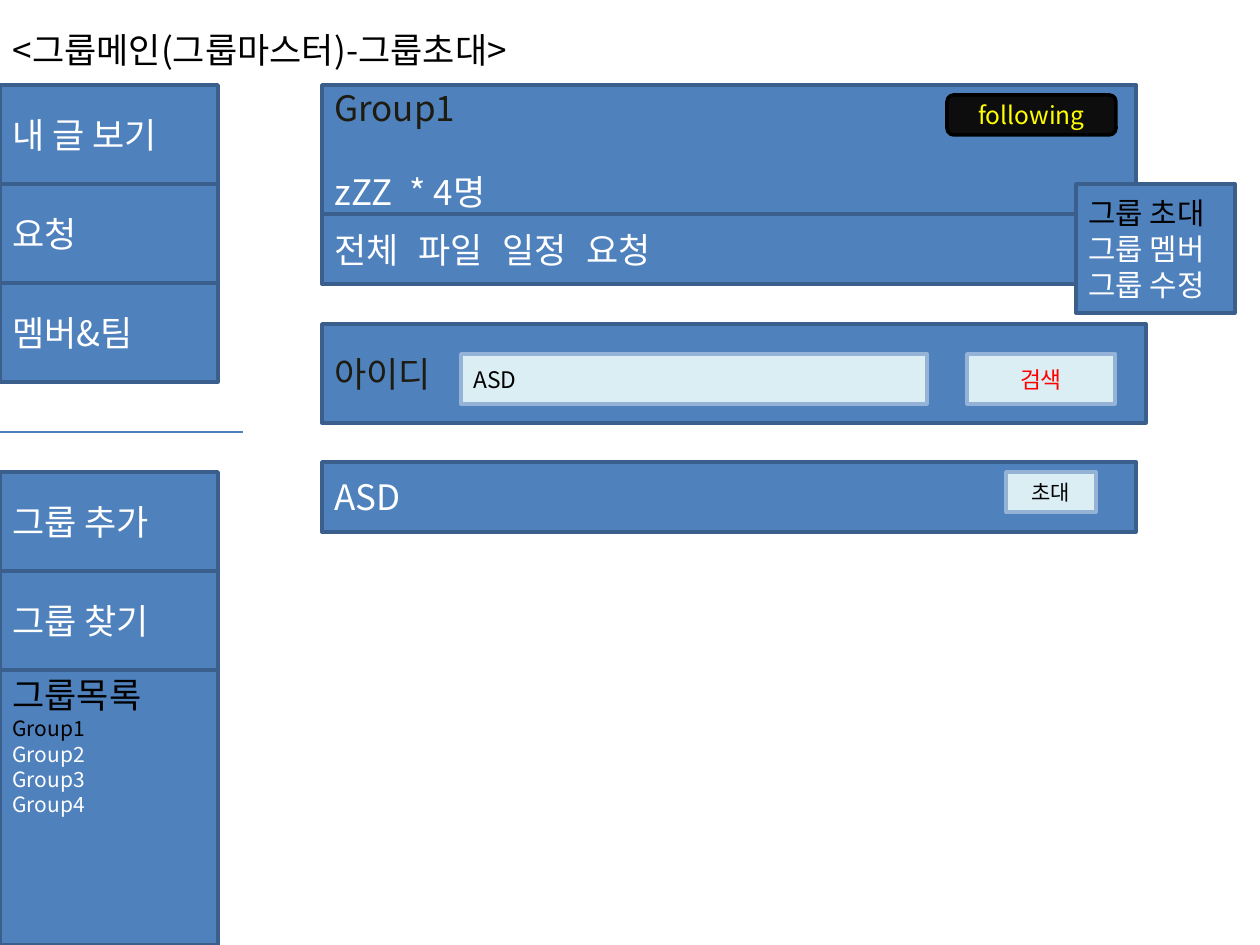
from lxml.etree import SubElement
from pptx import Presentation
from pptx.dml.color import RGBColor
from pptx.enum.shapes import MSO_CONNECTOR, MSO_SHAPE
from pptx.enum.text import MSO_ANCHOR, PP_ALIGN
from pptx.oxml.ns import qn
from pptx.util import Pt

PX = 914400 // 126
FONT = "Noto Sans CJK KR"
BLUE, EDGE = "4F81BD", "3A5F8C"
PALE, RIM = "DBEEF4", "95B3D7"
WHITE, BLACK, DARK = "FFFFFF", "000000", "1E1C11"
ROW = 99


def px(*sizes):
    return [size * PX for size in sizes]


def color(code):
    return RGBColor.from_string(code)


def style(para, size, ink, align=PP_ALIGN.LEFT):
    para.alignment = align
    for run in para.runs:
        run.font.size = Pt(size)
        run.font.name = FONT
        run.font.color.rgb = color(ink)
        SubElement(run.font._element, qn("a:ea"), typeface=FONT)


def set_tabs(para, stops):
    tabs = SubElement(para._p.get_or_add_pPr(), qn("a:tabLst"))
    for stop in stops:
        SubElement(tabs, qn("a:tab"), pos=str(stop * PX), algn="l")


def add_box(slide, area, lines, fill=BLUE, edge=EDGE,
            kind=MSO_SHAPE.RECTANGLE, align=PP_ALIGN.LEFT):
    """Draw a filled box; each line is (text, size, ink)."""
    shape = slide.shapes.add_shape(kind, *px(*area))
    shape.shadow.inherit = False
    shape.fill.solid()
    shape.fill.fore_color.rgb = color(fill)
    shape.line.color.rgb = color(edge)
    shape.line.width = Pt(2)
    frame = shape.text_frame
    frame.word_wrap = True
    frame.vertical_anchor = MSO_ANCHOR.MIDDLE
    frame.text = "\n".join(text for text, _, _ in lines)
    for para, (_, size, ink) in zip(frame.paragraphs, lines):
        style(para, size, ink, align)
    return frame


def add_title(slide, area, text):
    title = slide.shapes.title
    title.left, title.top, title.width, title.height = px(*area)
    frame = title.text_frame
    frame.text = text
    frame.vertical_anchor = MSO_ANCHOR.MIDDLE
    style(frame.paragraphs[0], 20, BLACK)


def add_stack(slide, left, top, wide, labels):
    """Stack equal menu rows and return the bottom edge."""
    for i, label in enumerate(labels):
        add_box(slide, (left, top + i * ROW, wide, ROW), [(label, 20, WHITE)])
    return top + len(labels) * ROW


def add_side(slide, left, top, wide, high):
    add_stack(slide, left, top, wide, ["내 글 보기", "요청", "멤버&팀"])

    rule = slide.shapes.add_connector(
        MSO_CONNECTOR.STRAIGHT, *px(left, top + 347, left + 243, top + 347))
    rule.line.color.rgb = color("4B7EBC")
    rule.line.width = Pt(0.75)
    SubElement(rule._element.spPr, qn("a:effectLst"))

    end = add_stack(slide, left, top + 387, wide, ["그룹 추가", "그룹 찾기"])
    groups = [("그룹목록", 20, BLACK)]
    groups += [(f"Group{n}", 12, BLACK if n == 1 else WHITE) for n in range(1, 5)]
    frame = add_box(slide, (left, end, wide, top + high - end), groups)
    frame.vertical_anchor = MSO_ANCHOR.TOP
    frame.margin_top = 4 * PX


def add_head(slide, left, top, wide, high):
    frame = add_box(slide, (left, top, wide, high),
                    [("Group1", 20, DARK), ("zZZ\t* 4명", 20, WHITE)])
    count = frame.paragraphs[1]
    count.space_before = Pt(24)
    set_tabs(count, [75])
    add_box(slide, (left + 625, top + 10, 169, 40), [("following", 14, "FFFF00")],
            "0D0D0D", BLACK, MSO_SHAPE.ROUNDED_RECTANGLE, PP_ALIGN.CENTER)

    frame = add_box(slide, (left, top + high, wide, 70),
                    [("전체\t파일\t일정\t요청", 20, WHITE)])
    set_tabs(frame.paragraphs[0], [84 * i for i in range(1, 4)])

    add_box(slide, (left + 754, top + ROW, 159, 129),
            [("그룹 초대", 17, BLACK), ("그룹 멤버", 17, WHITE),
             ("그룹 수정", 17, WHITE)])


def add_search(slide, left, top, wide, high):
    add_box(slide, (left, top, wide, high), [("아이디", 20, DARK)])
    add_box(slide, (left + 139, top + 30, 466, 50), [("ASD", 13, BLACK)], PALE, RIM)
    add_box(slide, (left + 645, top + 30, 148, 50), [("검색", 13, "FF0000")],
            PALE, RIM, align=PP_ALIGN.CENTER)


def add_result(slide, left, top, wide, high):
    add_box(slide, (left, top, wide, high), [("ASD", 20, WHITE)])
    add_box(slide, (left + 684, top + 10, 90, 40), [("초대", 12, BLACK)],
            PALE, RIM, align=PP_ALIGN.CENTER)


def main():
    deck = Presentation()
    deck.slide_width, deck.slide_height = px(1260, 945)
    slide = deck.slides.add_slide(deck.slide_layouts[5])
    add_title(slide, (0, 0, 1145, 99), "<그룹메인(그룹마스터)-그룹초대>")
    add_side(slide, 0, 85, 218, 860)
    add_head(slide, 322, 85, 814, 129)
    add_search(slide, 322, 324, 824, 99)
    add_result(slide, 322, 462, 814, 70)
    deck.save("out.pptx")


if __name__ == "__main__":
    main()
